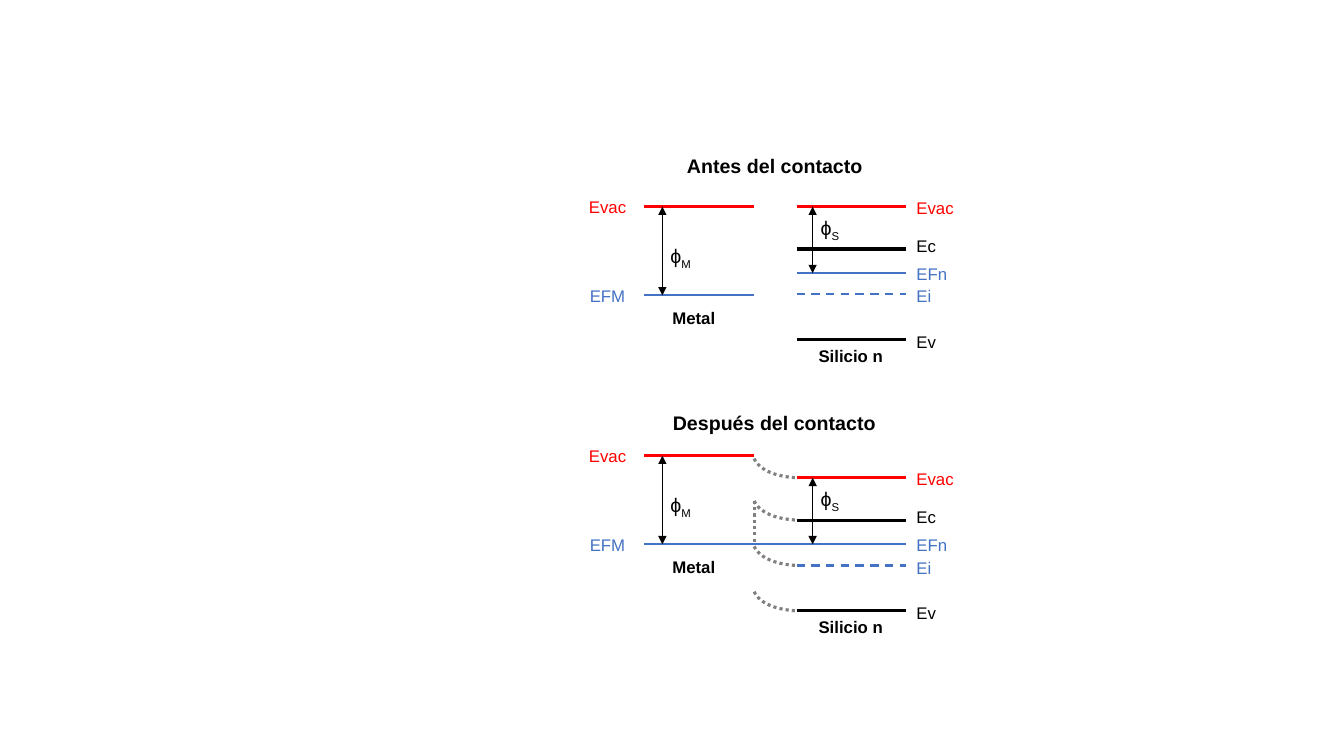
from pptx import Presentation
from pptx.dml.color import RGBColor
from pptx.enum.dml import MSO_LINE
from pptx.enum.shapes import MSO_CONNECTOR
from pptx.enum.text import MSO_ANCHOR, MSO_AUTO_SIZE, PP_ALIGN
from pptx.oxml.ns import qn
from pptx.util import Inches, Pt

LEFT, CENTER, RIGHT = PP_ALIGN.LEFT, PP_ALIGN.CENTER, PP_ALIGN.RIGHT
DASH, DOT = MSO_LINE.DASH, MSO_LINE.ROUND_DOT
THEME = {
    "font": "Arial",
    "black": RGBColor(0, 0, 0),
    "red": RGBColor(0xFF, 0, 0),
    "blue": RGBColor(0x44, 0x72, 0xC4),
    "gray": RGBColor(0x80, 0x80, 0x80),
    "heading": Pt(14),
    "label": Pt(12),
    "thick": Pt(2.25),
    "medium": Pt(1.5),
    "thin": Pt(0.5),
}

prs = Presentation()
prs.slide_width, prs.slide_height = Inches(13.33), Inches(7.5)
s = prs.slides.add_slide(prs.slide_layouts[5])


def add_text(x, y, w, text, color="black", size="label", bold=False,
             align=LEFT, sub="", sp=None):
    h = 0.34 if size == "heading" else 0.3
    box = Inches(x), Inches(y), Inches(w), Inches(h)
    if sp is None:
        sp = s.shapes.add_textbox(*box)
    else:
        sp.left, sp.top, sp.width, sp.height = box
    tf = sp.text_frame
    tf.word_wrap = False
    tf.auto_size = MSO_AUTO_SIZE.NONE
    tf.vertical_anchor = MSO_ANCHOR.TOP
    p = tf.paragraphs[0]
    p.alignment = align
    for part in filter(None, (text, sub)):
        r = p.add_run()
        r.text = part
        r.font.name = THEME["font"]
        r.font.size = THEME[size]
        r.font.bold = bold
        r.font.color.rgb = THEME[color]
        if part == sub:
            r.font._element.set("baseline", "-25000")


def add_line(x1, y1, x2, y2, color, width, dash=None, arrows=False):
    line = s.shapes.add_connector(MSO_CONNECTOR.STRAIGHT, Inches(x1), Inches(y1),
                                  Inches(x2), Inches(y2))
    line.line.color.rgb = THEME[color]
    line.line.width = THEME[width]
    if dash:
        line.line.dash_style = dash
    spPr = line._element.spPr
    if arrows:
        ln = spPr.find(qn("a:ln"))
        for end in ("a:headEnd", "a:tailEnd"):
            ln.append(ln.makeelement(qn(end), {"type": "triangle"}))
    spPr.append(spPr.makeelement(qn("a:effectLst"), {}))


METAL_X, JUNCTION_X, SILICON_X, END_X = 6.39, 7.48, 7.9, 8.99
VACUUM_Y, METAL_FERMI_Y, SILICON_FERMI_Y = 2.05, 2.93, 2.71
METAL_DROP, SILICON_DROP = 2.47, 2.69
BEND = 0.19

silicon_levels = [
    ("Evac", VACUUM_Y, 1.91, 0.58, "red", "thick", None),
    ("Ec", 2.47, 2.29, 0.4, "black", "thick", None),
    ("EFn", SILICON_FERMI_Y, 2.57, 0.51, "blue", "medium", None),
    ("Ei", 2.92, 2.79, 0.35, "blue", "medium", DASH),
    ("Ev", 3.37, 3.24, 0.4, "black", "thick", None),
]

add_text(6.71, 1.48, 1.95, "Antes del contacto", size="heading", bold=True,
         align=CENTER, sp=s.shapes.title)
add_text(6.57, 4.03, 2.22, "Después del contacto", size="heading", bold=True,
         align=CENTER)

for joined in (False, True):
    dm = METAL_DROP if joined else 0
    ds = SILICON_DROP if joined else 0
    fermi_end = END_X if joined else JUNCTION_X

    add_line(METAL_X, VACUUM_Y + dm, JUNCTION_X, VACUUM_Y + dm, "red", "thick")
    add_line(METAL_X, METAL_FERMI_Y + dm, fermi_end, METAL_FERMI_Y + dm,
             "blue", "medium")
    add_text(5.73, 1.9 + dm, 0.58, "Evac", "red", align=RIGHT)
    add_text(5.74, 2.79 + dm, 0.56, "EFM", "blue", align=RIGHT)
    add_text(6.57, 3 + dm, 0.63, "Metal", bold=True)
    add_line(6.57, VACUUM_Y + dm, 6.57, METAL_FERMI_Y + dm, "black", "thin",
             arrows=True)
    add_text(6.55, 2.37 + dm, 0.42, "ϕ", size="heading", sub="M")

    for name, y, label_y, w, color, width, dash in silicon_levels:
        if not (joined and name == "EFn"):
            add_line(SILICON_X, y + ds, END_X, y + ds, color, width, dash)
        add_text(END_X, label_y + ds, w, name, color)
    add_text(8.02, 3.38 + ds, 0.85, "Silicio n", bold=True)
    add_line(8.06, VACUUM_Y + ds, 8.06, SILICON_FERMI_Y + ds, "black", "thin",
             arrows=True)
    add_text(8.04, 2.09 + (ds), 0.4, "ϕ", size="heading", sub="S")

for name, y, *_ in silicon_levels:
    if name == "EFn":
        continue
    top = y + SILICON_DROP - BEND
    points = []
    for i in range(25):
        t = i / 24
        a, b, c = 3 * t * (1 - t) ** 2, 3 * t ** 2 * (1 - t), t ** 3
        points.append((Inches(JUNCTION_X + 0.06 * a + 0.22 * b + 0.43 * c),
                       Inches(top + 0.12 * a + 0.18 * b + BEND * c)))
    fb = s.shapes.build_freeform(*points[0])
    fb.add_line_segments(points[1:], close=False)
    curve = fb.convert_to_shape()
    curve.shadow.inherit = False
    curve.fill.background()
    curve.line.color.rgb = THEME["gray"]
    curve.line.width = THEME["thick"]
    curve.line.dash_style = DOT

add_line(JUNCTION_X, 4.97, JUNCTION_X, 5.39, "gray", "thick", DOT)

prs.save("out.pptx")
